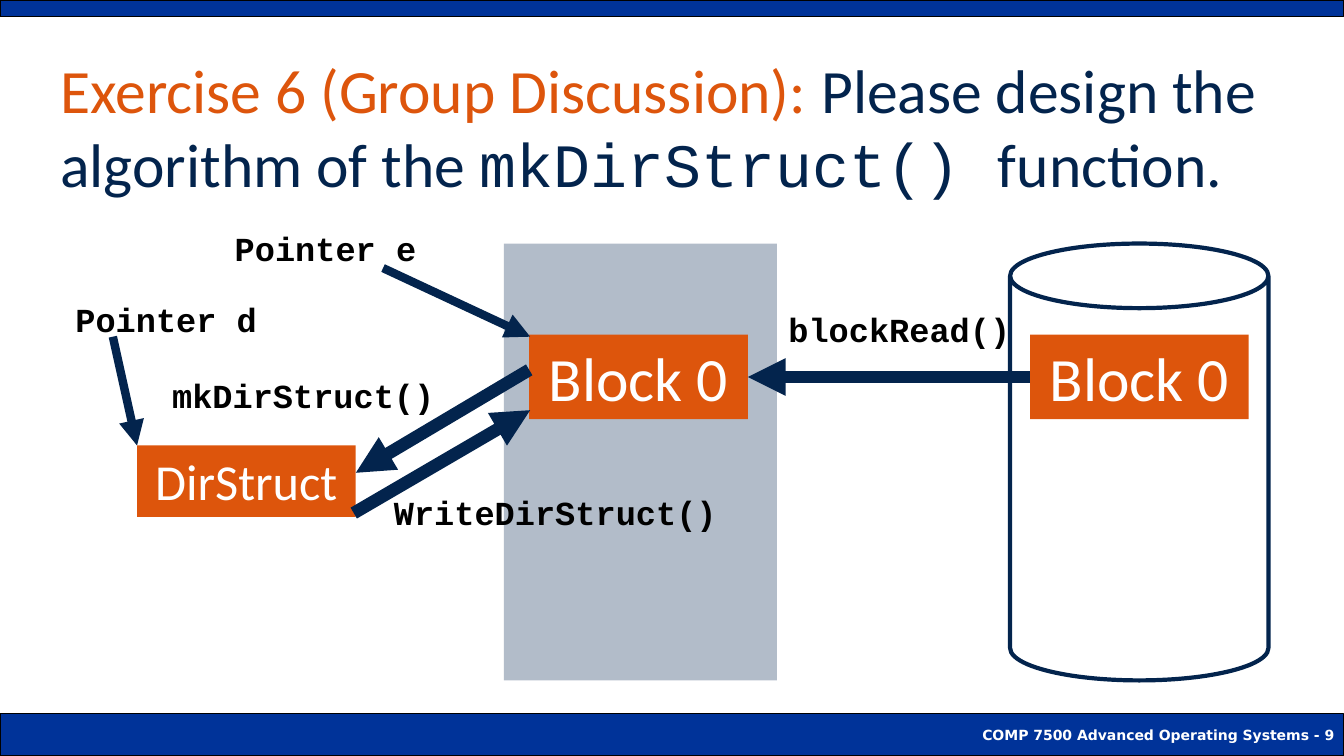
from dataclasses import dataclass

from lxml.etree import SubElement
from pptx import Presentation
from pptx.dml.color import RGBColor
from pptx.enum.shapes import MSO_CONNECTOR, MSO_SHAPE
from pptx.enum.text import MSO_ANCHOR, MSO_AUTO_SIZE, PP_ALIGN
from pptx.oxml.ns import qn
from pptx.shapes.autoshape import Shape
from pptx.slide import Slide
from pptx.util import Pt

NAVY = RGBColor(0x03, 0x24, 0x4D)
ORANGE = RGBColor(0xDD, 0x55, 0x0C)
BLUE = RGBColor(0x00, 0x33, 0x99)
WHITE = RGBColor(0xFF, 0xFF, 0xFF)
BLACK = RGBColor(0x00, 0x00, 0x00)

BODY = "Calibri"
CODE = "Courier New"
FOOTER = "DejaVu Sans"

SLIDE_WIDTH, SLIDE_HEIGHT = 960, 540
COLUMN_TOP, COLUMN_HEIGHT = 174, 312
BLOCK_TOP, BLOCK_WIDTH, BLOCK_HEIGHT = 239, 156.2, 60.5
MEMORY_BLOCK_LEFT, DISK_BLOCK_LEFT = 378, 735.8
BLOCK_MIDDLE = 269.3
LABEL_HEIGHT = 36


@dataclass(frozen=True)
class Area:
    left: float
    top: float
    width: float
    height: float


@dataclass(frozen=True)
class Span:
    text: str
    size: float
    font: str
    color: RGBColor
    bold: bool = False


@dataclass(frozen=True)
class Block:
    text: str
    size: float
    area: Area


@dataclass(frozen=True)
class Arrow:
    start: tuple[float, float]
    end: tuple[float, float]
    weight: float


@dataclass(frozen=True)
class Label:
    text: str
    left: float
    top: float
    width: float
    align: PP_ALIGN = PP_ALIGN.LEFT


TITLE = [
    Span("Exercise 6 (Group Discussion): ", 44, BODY, ORANGE),
    Span("Please design the algorithm of the ", 44, BODY, NAVY),
    Span("mkDirStruct() ", 44, CODE, NAVY),
    Span("function.", 44, BODY, NAVY),
]

BLOCKS = [
    Block("Block 0", 44, Area(DISK_BLOCK_LEFT, BLOCK_TOP, BLOCK_WIDTH, BLOCK_HEIGHT)),
    Block("Block 0", 44, Area(MEMORY_BLOCK_LEFT, BLOCK_TOP, BLOCK_WIDTH, BLOCK_HEIGHT)),
    Block("DirStruct", 36, Area(97.9, 318.2, BLOCK_WIDTH, 51.1)),
]

ARROWS = [
    Arrow((DISK_BLOCK_LEFT, BLOCK_MIDDLE),
          (MEMORY_BLOCK_LEFT + BLOCK_WIDTH, BLOCK_MIDDLE), 9),
    Arrow((273.6, 191.5), (378.7, 240.5), 6),
    Arrow((80.6, 240.5), (97.9, 318.2), 6),
    Arrow((378, 264.2), (254.2, 337.7), 9),
    Arrow((252.7, 366.5), (378.7, 293), 9),
]

LABELS = [
    Label("blockRead()", 545, 217.4, 183.6, PP_ALIGN.RIGHT),
    Label("Pointer e", 160.6, 159.1, 150),
    Label("Pointer d", 46.8, 210.2, 150),
    Label("mkDirStruct()", 115.9, 264.2, 216),
    Label("WriteDirStruct()", 274.3, 347.8, 280.8),
]


def add_text(box: Shape, spans: list[Span], align: PP_ALIGN, anchor: MSO_ANCHOR,
             grow: bool = False) -> None:
    frame = box.text_frame
    frame.word_wrap = True
    frame.auto_size = MSO_AUTO_SIZE.SHAPE_TO_FIT_TEXT if grow else MSO_AUTO_SIZE.NONE
    frame.vertical_anchor = anchor
    para = frame.paragraphs[0]
    para.alignment = align
    for span in spans:
        run = para.add_run()
        run.text = span.text
        run.font.size = Pt(span.size)
        run.font.name = span.font
        run.font.bold = span.bold
        run.font.color.rgb = span.color


def add_text_box(page: Slide, area: Area) -> Shape:
    return page.shapes.add_textbox(
        Pt(area.left), Pt(area.top), Pt(area.width), Pt(area.height))


def add_figure(page: Slide, area: Area, fill: RGBColor | None = None,
               line: RGBColor | None = None, weight: float = 0.75,
               kind: MSO_SHAPE = MSO_SHAPE.RECTANGLE) -> Shape:
    figure = page.shapes.add_shape(
        kind, Pt(area.left), Pt(area.top), Pt(area.width), Pt(area.height))
    figure.shadow.inherit = False
    if fill is None:
        figure.fill.background()
    else:
        figure.fill.solid()
        figure.fill.fore_color.rgb = fill
    if line is None:
        figure.line.fill.background()
    else:
        figure.line.color.rgb = line
        figure.line.width = Pt(weight)
    return figure


def set_opacity(figure: Shape, percent: int) -> None:
    color = figure.fill._xPr.find(qn("a:solidFill"))[0]
    SubElement(color, qn("a:alpha"), val=str(percent * 1000))


def add_block(page: Slide, block: Block) -> None:
    figure = add_figure(page, block.area, ORANGE)
    add_text(figure, [Span(block.text, block.size, BODY, WHITE)],
             PP_ALIGN.CENTER, MSO_ANCHOR.TOP, grow=True)


def add_arrow(page: Slide, arrow: Arrow) -> None:
    connector = page.shapes.add_connector(
        MSO_CONNECTOR.STRAIGHT, *map(Pt, arrow.start + arrow.end))
    connector.line.color.rgb = NAVY
    connector.line.width = Pt(arrow.weight)
    SubElement(connector.line._get_or_add_ln(), qn("a:tailEnd"), type="triangle")
    SubElement(connector._element.spPr, qn("a:effectLst"))


def add_label(page: Slide, label: Label) -> None:
    box = add_text_box(page, Area(label.left, label.top, label.width, LABEL_HEIGHT))
    add_text(box, [Span(label.text, 24, CODE, BLACK, True)],
             label.align, MSO_ANCHOR.TOP, grow=True)


def main() -> None:
    deck = Presentation()
    deck.slide_width, deck.slide_height = Pt(SLIDE_WIDTH), Pt(SLIDE_HEIGHT)
    page = deck.slides.add_slide(deck.slide_layouts[6])

    footer = add_figure(page, Area(0, 510, SLIDE_WIDTH, 30), BLUE, BLACK)
    add_text(footer, [Span("COMP 7500 Advanced Operating Systems - 9", 10, FOOTER, WHITE, True)],
             PP_ALIGN.RIGHT, MSO_ANCHOR.MIDDLE)
    add_figure(page, Area(0, 0, SLIDE_WIDTH, 12), BLUE, BLACK)

    title = add_text_box(page, Area(36, 18, 876, 144))
    add_text(title, TITLE, PP_ALIGN.LEFT, MSO_ANCHOR.MIDDLE)

    add_figure(page, Area(721.5, COLUMN_TOP, 184.5, COLUMN_HEIGHT),
               line=NAVY, weight=3, kind=MSO_SHAPE.CAN)
    memory = add_figure(page, Area(360, COLUMN_TOP, 195, COLUMN_HEIGHT), NAVY)
    set_opacity(memory, 30)

    for block in BLOCKS:
        add_block(page, block)
    for arrow in ARROWS:
        add_arrow(page, arrow)
    for label in LABELS:
        add_label(page, label)

    deck.save("out.pptx")


if __name__ == "__main__":
    main()
